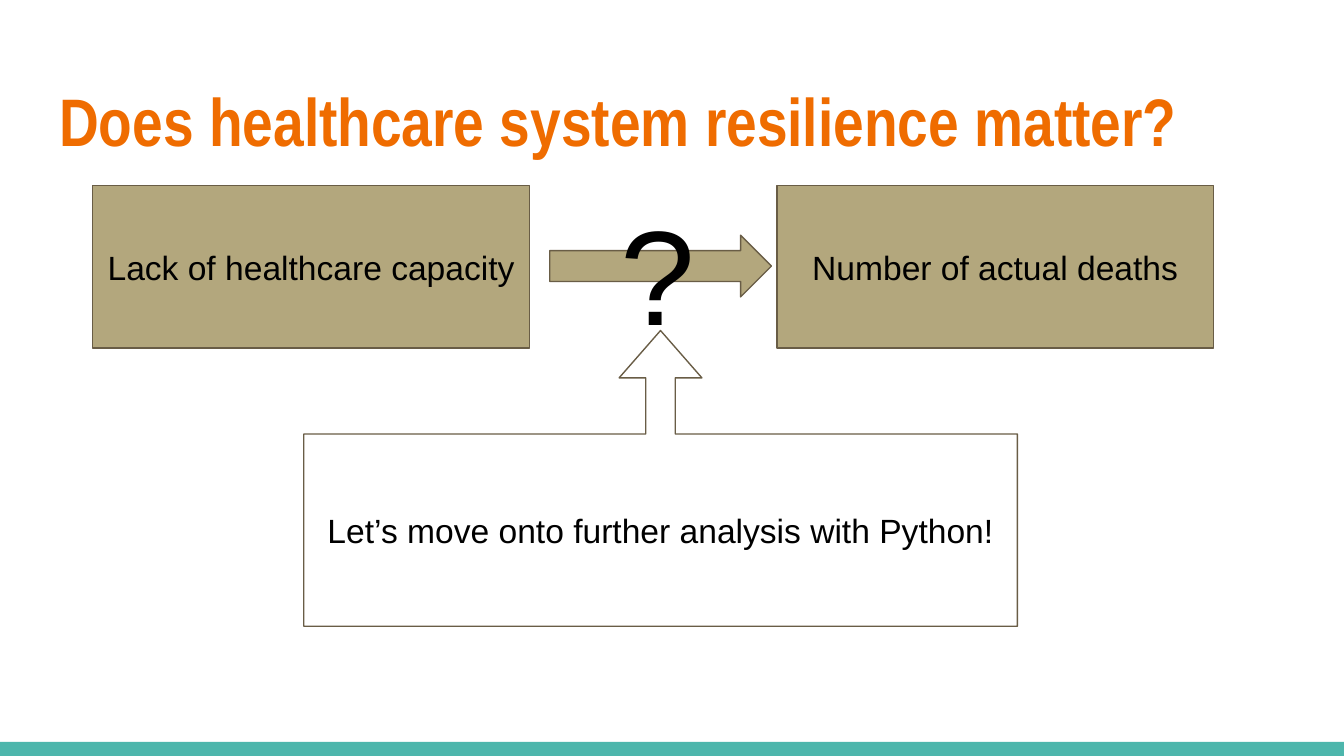
from dataclasses import dataclass
from typing import Optional

from pptx import Presentation
from pptx.dml.color import RGBColor
from pptx.enum.shapes import MSO_SHAPE
from pptx.enum.text import MSO_ANCHOR, MSO_AUTO_SIZE, PP_ALIGN
from pptx.util import Inches, Pt

RECTANGLE = MSO_SHAPE.RECTANGLE
RIGHT_ARROW = MSO_SHAPE.RIGHT_ARROW
UP_CALLOUT = MSO_SHAPE.UP_ARROW_CALLOUT
TOP, MIDDLE = MSO_ANCHOR.TOP, MSO_ANCHOR.MIDDLE
LEFT, CENTER = PP_ALIGN.LEFT, PP_ALIGN.CENTER
NO_AUTOFIT = MSO_AUTO_SIZE.NONE

ORANGE, TEAL, TAN, BROWN, BLACK = "EF6C00", "4DB6AC", "B3A77D", "695D46", "000000"
SLIDE_WIDTH = 10
SLIDE_HEIGHT = SLIDE_WIDTH * 9 / 16
BOX_TOP, BOX_WIDTH, BOX_HEIGHT = 1.38, 3.25, 1.21


@dataclass
class Block:
    """A preset shape of the diagram, with its optional label."""
    kind: MSO_SHAPE
    left: float
    top: float
    width: float
    height: float
    fill: Optional[str] = TAN
    line: Optional[str] = BROWN
    label: str = ""
    adjustments: tuple[float, ...] = ()


BLOCKS = [
    Block(RECTANGLE, 0, 5.52, SLIDE_WIDTH, 0.11, TEAL, None),
    Block(RECTANGLE, 0.69, BOX_TOP, BOX_WIDTH, BOX_HEIGHT, label="Lack of healthcare capacity"),
    Block(RECTANGLE, 5.78, BOX_TOP, BOX_WIDTH, BOX_HEIGHT, label="Number of actual deaths"),
    Block(RIGHT_ARROW, 4.09, 1.75, 1.65, 0.46, adjustments=(0.5, 0.5)),
]
CALLOUT = Block(UP_CALLOUT, 2.26, 2.46, 5.31, 2.2, None, BROWN,
                "Let’s move onto further analysis with Python!", (0.1, 0.14, 0.16, 0.65))


def color(value: str) -> RGBColor:
    """Turn a hex string into a colour."""
    return RGBColor.from_string(value)


def write(shape, text: str, size: int, font: str = "Arial", ink: str = BLACK,
          bold: bool = False, align: PP_ALIGN = CENTER, anchor: MSO_ANCHOR = MIDDLE) -> None:
    """Put one formatted paragraph into a shape."""
    frame = shape.text_frame
    frame.word_wrap = True
    frame.auto_size = NO_AUTOFIT
    frame.vertical_anchor = anchor
    frame.margin_left = frame.margin_right = Inches(0.1)
    frame.margin_top = frame.margin_bottom = Inches(0.1)
    frame.text = text
    paragraph = frame.paragraphs[0]
    paragraph.alignment = align
    paragraph.line_spacing = 1.0
    paragraph.space_before = Pt(0)
    paragraph.font.name = font
    paragraph.font.size = Pt(size)
    paragraph.font.bold = bold
    paragraph.font.color.rgb = color(ink)


def draw_block(slide, block: Block) -> None:
    """Draw one block with its fill, outline and label."""
    shape = slide.shapes.add_shape(block.kind, Inches(block.left), Inches(block.top),
                                   Inches(block.width), Inches(block.height))
    shape.shadow.inherit = False
    for index, value in enumerate(block.adjustments):
        shape.adjustments[index] = value
    if block.fill:
        shape.fill.solid()
        shape.fill.fore_color.rgb = color(block.fill)
    else:
        shape.fill.background()
    if block.line:
        shape.line.color.rgb = color(block.line)
        shape.line.width = Pt(0.75)
    else:
        shape.line.fill.background()
    if block.label:
        write(shape, block.label, 18)


def main() -> None:
    """Build and save the slide."""
    deck = Presentation()
    deck.slide_width, deck.slide_height = Inches(SLIDE_WIDTH), Inches(SLIDE_HEIGHT)
    slide = deck.slides.add_slide(deck.slide_layouts[5])

    title = slide.shapes.title
    title.left, title.top = Inches(0.34), Inches(0.49)
    title.width, title.height = Inches(9.32), Inches(0.77)
    write(title, "Does healthcare system resilience matter?", 36, "Arial Narrow",
          ORANGE, True, LEFT, TOP)

    for block in BLOCKS:
        draw_block(slide, block)
    question = slide.shapes.add_textbox(Inches(4.33), Inches(1.32), Inches(1.13), Inches(1.32))
    write(question, "?", 72, anchor=TOP)
    draw_block(slide, CALLOUT)

    deck.save("out.pptx")


if __name__ == "__main__":
    main()
